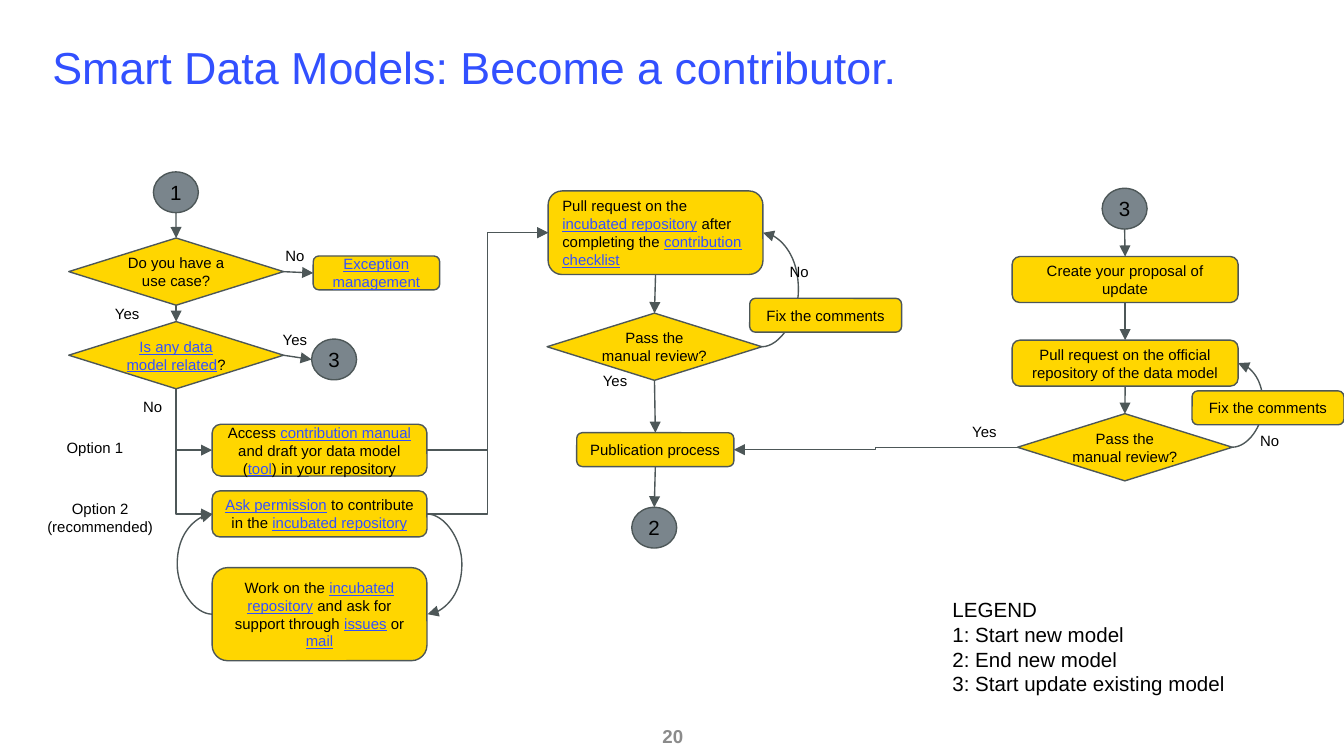
from lxml import etree
from pptx import Presentation
from pptx.dml.color import RGBColor
from pptx.enum import shapes as kinds, text as txt
from pptx.oxml.ns import qn
from pptx.util import Cm, Pt

BLACK, BLUE, YELLOW, SLATE, EDGE, GRAY = (
    "000000", "3250FF", "FFD600", "7A858C", "4D5758", "8B8B8B")
CENTER, LEFT = txt.PP_ALIGN.CENTER, txt.PP_ALIGN.LEFT
TOP, MIDDLE = txt.MSO_ANCHOR.TOP, txt.MSO_ANCHOR.MIDDLE
SHAPE, LINE = kinds.MSO_SHAPE, kinds.MSO_CONNECTOR
STEP_W, DIAMOND_H, LOW_H, STEP_H = 4.06, 1.27, 0.64, 0.87
FIX_W, UPDATE_W = 2.87, 4.27


def paint(color_format, value):
    color_format.rgb = RGBColor.from_string(value)


def write(shape, content, size=8, color=BLACK, align=CENTER, anchor=MIDDLE,
          inset=0.19, bold=False):
    """Fill a shape with text; the words between | marks look like links."""
    frame = shape.text_frame
    frame.word_wrap = True
    frame.vertical_anchor = anchor
    frame.margin_left = frame.margin_right = Cm(inset)
    frame.margin_top = frame.margin_bottom = Cm(inset)
    for number, row in enumerate(content.split("\n")):
        paragraph = frame.add_paragraph() if number else frame.paragraphs[0]
        paragraph.alignment = align
        for index, words in enumerate(row.split("|")):
            if not words:
                continue
            run = paragraph.add_run()
            run.text = words
            run.font.name, run.font.size, run.font.bold = "Arial", Pt(size), bold
            linked = index % 2 == 1
            run.font.underline = linked
            paint(run.font.color, BLUE if linked else color)


def node(slide, box, kind, x, y, width, height, content, fill=YELLOW, size=8, inset=0.0):
    left, top = box[:2]
    shape = slide.shapes.add_shape(kind, Cm(left + x), Cm(top + y), Cm(width), Cm(height))
    shape.shadow.inherit = False
    shape.fill.solid()
    paint(shape.fill.fore_color, fill)
    paint(shape.line.color, EDGE)
    shape.line.width = Pt(0.75)
    write(shape, content, size=size, inset=inset)
    return shape


def step(slide, box, x, y, width, height, content):
    return node(slide, box, SHAPE.ROUNDED_RECTANGLE, x, y, width, height, content, inset=0.19)


def decision(slide, box, x, y, content):
    return node(slide, box, SHAPE.DIAMOND, x, y, STEP_W, DIAMOND_H, content)


def marker(slide, box, x, y, content):
    return node(slide, box, SHAPE.OVAL, x, y, 0.85, 0.77, content, SLATE, 11)


def label(slide, box, x, y, content, width=1.35, height=0.74, **style):
    left, top = box[:2]
    note = slide.shapes.add_textbox(Cm(left + x), Cm(top + y), Cm(width), Cm(height))
    write(note, content, **{"anchor": TOP, **style})


def side(shape, name):
    across = {"left": 0, "right": 1}.get(name, 0.5)
    down = {"top": 0, "bottom": 1}.get(name, 0.5)
    return int(shape.left + across * shape.width), int(shape.top + down * shape.height)


def arrow(slide, source, start, target, end, kind=LINE.STRAIGHT, bend=None):
    """Join two sides; bend is how far (cm) the middle stretch is from the start."""
    x1, y1 = side(source, start)
    x2, y2 = side(target, end)
    if kind == LINE.CURVE and x1 == x2:
        x2 += Cm(0.01)  # a bend is a share of the width, so it must not be zero
    link = slide.shapes.add_connector(kind, x1, y1, x2, y2)
    paint(link.line.color, EDGE)
    link.line.width = Pt(0.75)
    etree.SubElement(link.get_or_add_ln(), qn("a:tailEnd"), type="triangle")
    properties = link._element.spPr
    etree.SubElement(properties, qn("a:effectLst"))
    if bend is not None:
        guides = properties.find(qn("a:prstGeom")).get_or_add_avLst()
        share = round(Cm(bend) / (x2 - x1) * 100000)
        etree.SubElement(guides, qn("a:gd"), name="adj1", fmla=f"val {share}")


def new_model_start(slide, box):
    """Entry questions and the two ways to draft a model."""
    start = marker(slide, box, 2.3, 0, "1")
    use_case = decision(slide, box, 0.7, 1.25, "Do you have a use case?")
    exception = step(slide, box, 5.32, 1.59, 2.39, LOW_H, "|Exception management|")
    related = decision(slide, box, 0.7, 2.83, "|Is any data model related|?")
    update = marker(slide, box, 5.29, 3.16, "3")
    access = step(slide, box, 3.41, 4.77, STEP_W, 0.98,
                  "Access |contribution manual| and draft yor data model "
                  "(|tool|) in your repository")
    ask = step(slide, box, 3.41, 6.03, STEP_W, STEP_H,
               "|Ask permission| to contribute in the |incubated repository|")
    work = step(slide, box, 3.41, 7.48, STEP_W, 1.76,
                "Work on the |incubated repository| and ask for support through "
                "|issues| or |mail|")

    arrow(slide, start, "bottom", use_case, "top")
    arrow(slide, use_case, "right", exception, "left")
    arrow(slide, use_case, "bottom", related, "top")
    arrow(slide, related, "right", update, "left")
    for option in (access, ask):
        arrow(slide, related, "bottom", option, "left", LINE.ELBOW, 0)
    arrow(slide, work, "left", ask, "left", LINE.CURVE, -0.66)
    arrow(slide, ask, "right", work, "right", LINE.CURVE, 0.66)

    for x, y, answer in ((4.3, 1.25, "No"), (1.13, 2.34, "Yes"),
                         (4.3, 2.83, "Yes"), (1.61, 4.09, "No")):
        label(slide, box, x, y, answer)
    label(slide, box, 0, 4.88, "Option 1", 2.39)
    label(slide, box, 0, 6, "Option 2\n(recommended)", 2.59, 1.07)
    return access, ask


def new_model_review(slide, box):
    """Pull request, manual review and publication."""
    request = step(slide, box, 0.02, 0, STEP_W, 1.58,
                   "Pull request on the |incubated repository| after completing the "
                   "|contribution checklist|")
    request.text_frame.paragraphs[0].alignment = LEFT
    review = decision(slide, box, 0, 2.31, "Pass the manual review?")
    arrow(slide, review, "right", request, "right", LINE.CURVE, 0.69)
    step(slide, box, 3.83, 2.03, FIX_W, LOW_H, "Fix the comments")
    publication = step(slide, box, 0.56, 4.57, 2.97, LOW_H, "Publication process")
    finish = marker(slide, box, 1.6, 5.98, "2")

    for source, target in ((request, review), (review, publication), (publication, finish)):
        arrow(slide, source, "bottom", target, "top")
    label(slide, box, 4.09, 1.19, "No")
    label(slide, box, 0.61, 3.25, "Yes")
    return request, publication


def model_update(slide, box):
    """Update of an existing model, up to its review."""
    start = marker(slide, box, 2.9, 0, "3")
    proposal = step(slide, box, 1.2, 1.29, UPDATE_W, STEP_H, "Create your proposal of update")
    request = step(slide, box, 1.2, 2.87, UPDATE_W, STEP_H,
                   "Pull request on the official repository of the data model")
    review = decision(slide, box, 1.3, 4.26, "Pass the manual review?")
    arrow(slide, review, "right", request, "right", LINE.CURVE, 0.58)
    step(slide, box, 4.6, 3.83, FIX_W, LOW_H, "Fix the comments")

    for source, target in ((start, proposal), (proposal, request), (request, review)):
        arrow(slide, source, "bottom", target, "top")
    label(slide, box, 5.39, 4.42, "No")
    label(slide, box, 0, 4.26, "Yes")
    return review


def caption(slide, box, content, **style):
    """Title, legend or page number, filling its box."""
    label(slide, box, 0, 0, content, *box[2:], **style)


def main():
    deck = Presentation()
    deck.slide_width, deck.slide_height = Cm(25.4), Cm(14.29)
    slide = deck.slides.add_slide(deck.slide_layouts[6])

    caption(slide, (0.99, 0.76, 22.5, 2.11), "Smart Data Models: Become a contributor.",
            size=24, color=BLUE, align=LEFT, inset=0)
    access, ask = new_model_start(slide, (0.6, 3.25))
    request, publication = new_model_review(slide, (10.34, 3.61))
    update_review = model_update(slide, (17.93, 3.56))

    # Links between the regions
    for option in (access, ask):
        arrow(slide, option, "right", request, "left", LINE.ELBOW)
    arrow(slide, update_review, "left", publication, "right", LINE.ELBOW)

    caption(slide, (17.81, 11.1, 6.25, 2.26),
            "LEGEND\n1: Start new model\n2: End new model\n3: Start update existing model",
            size=11, align=LEFT)
    caption(slide, (11.28, 13.54, 2.87, 0.76), "20",
            size=10, color=GRAY, anchor=MIDDLE, inset=0.1, bold=True)
    deck.save("out.pptx")


if __name__ == "__main__":
    main()
